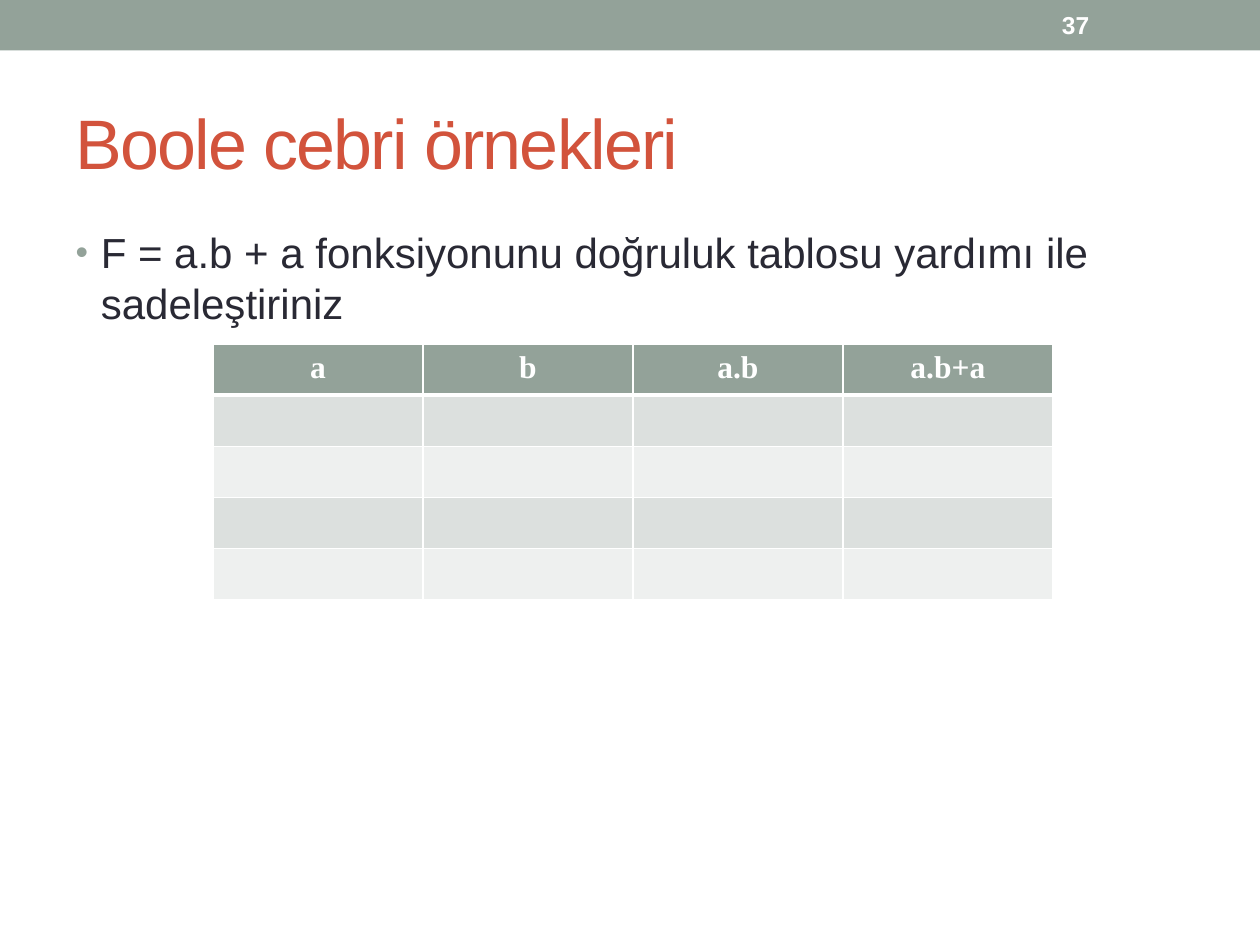
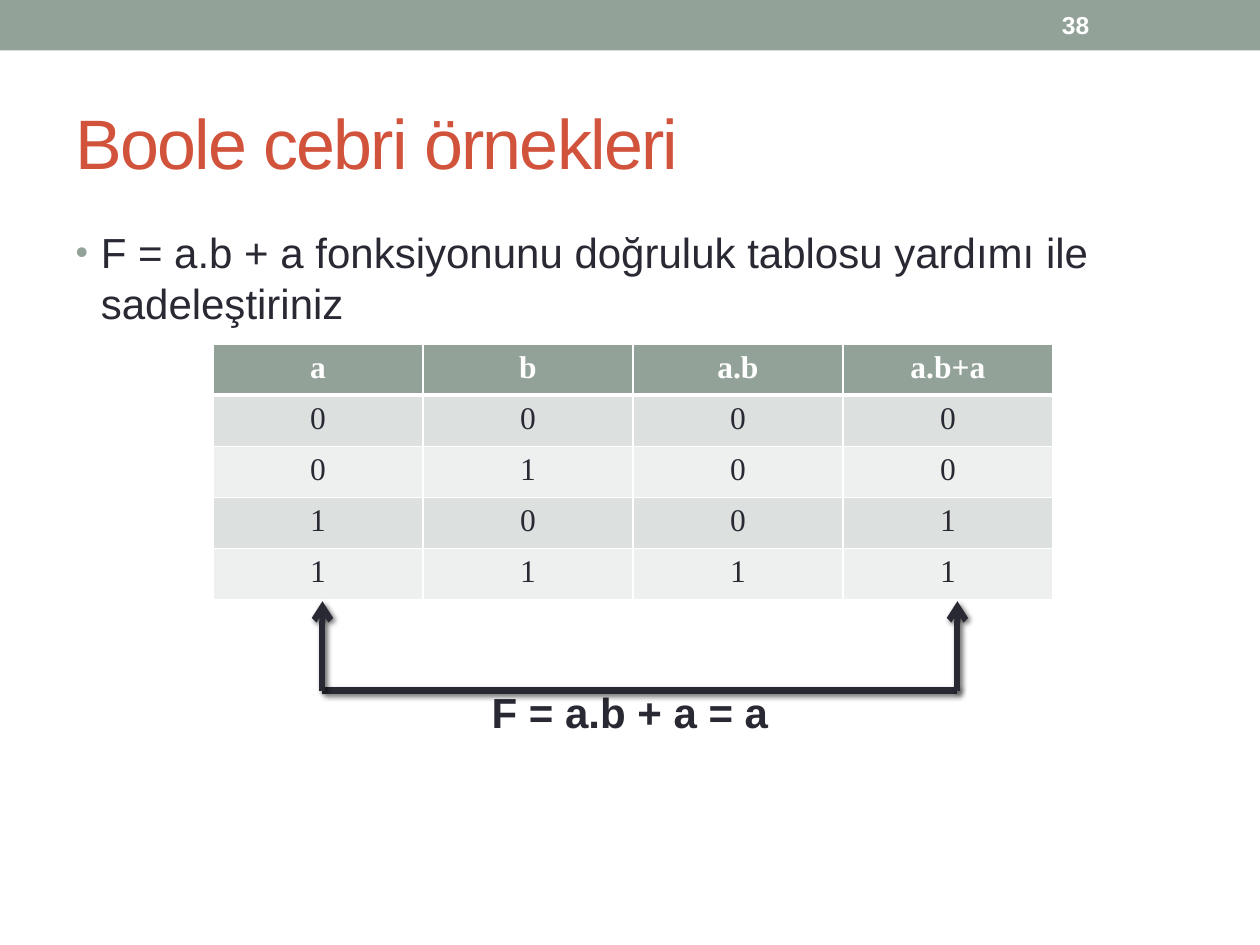
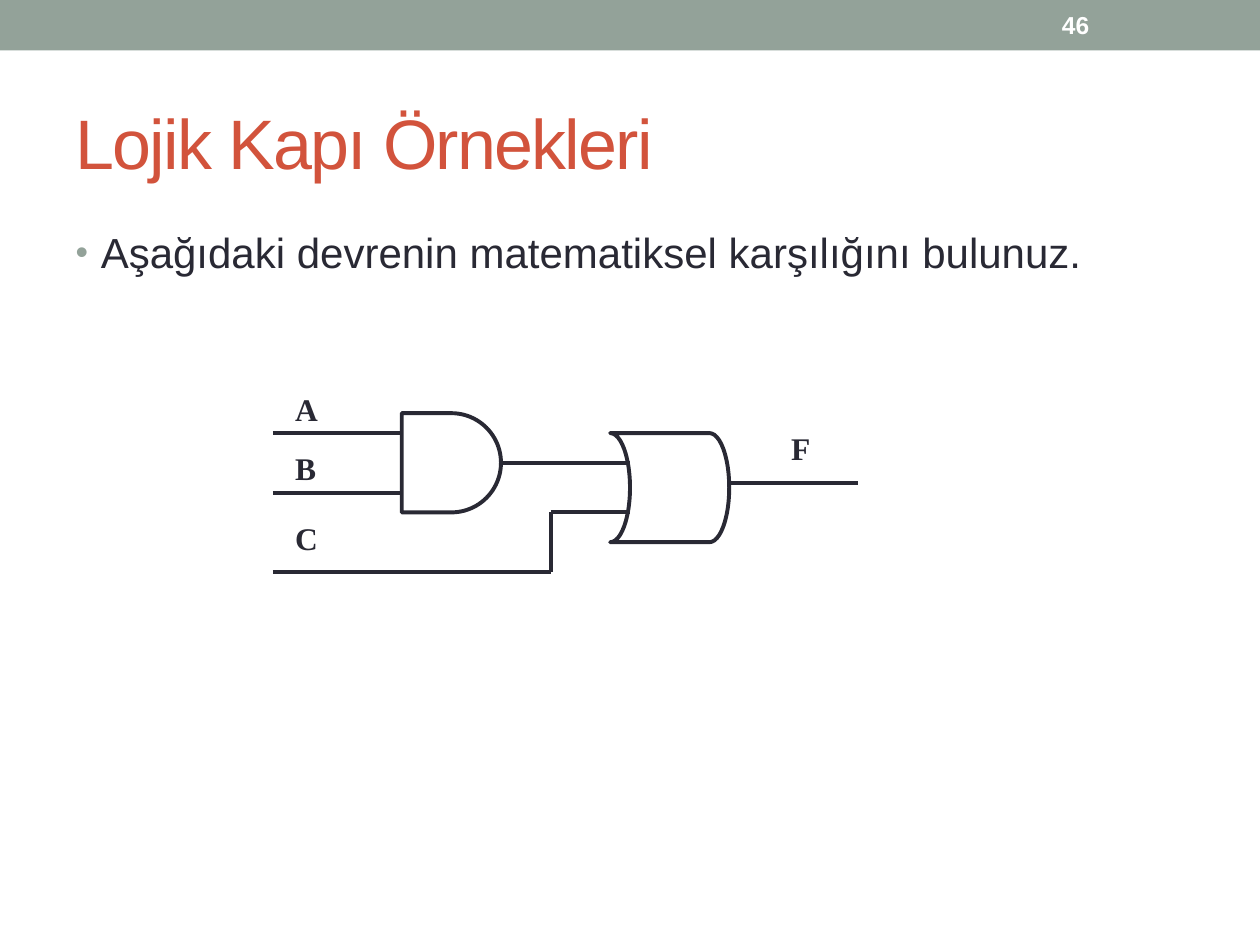
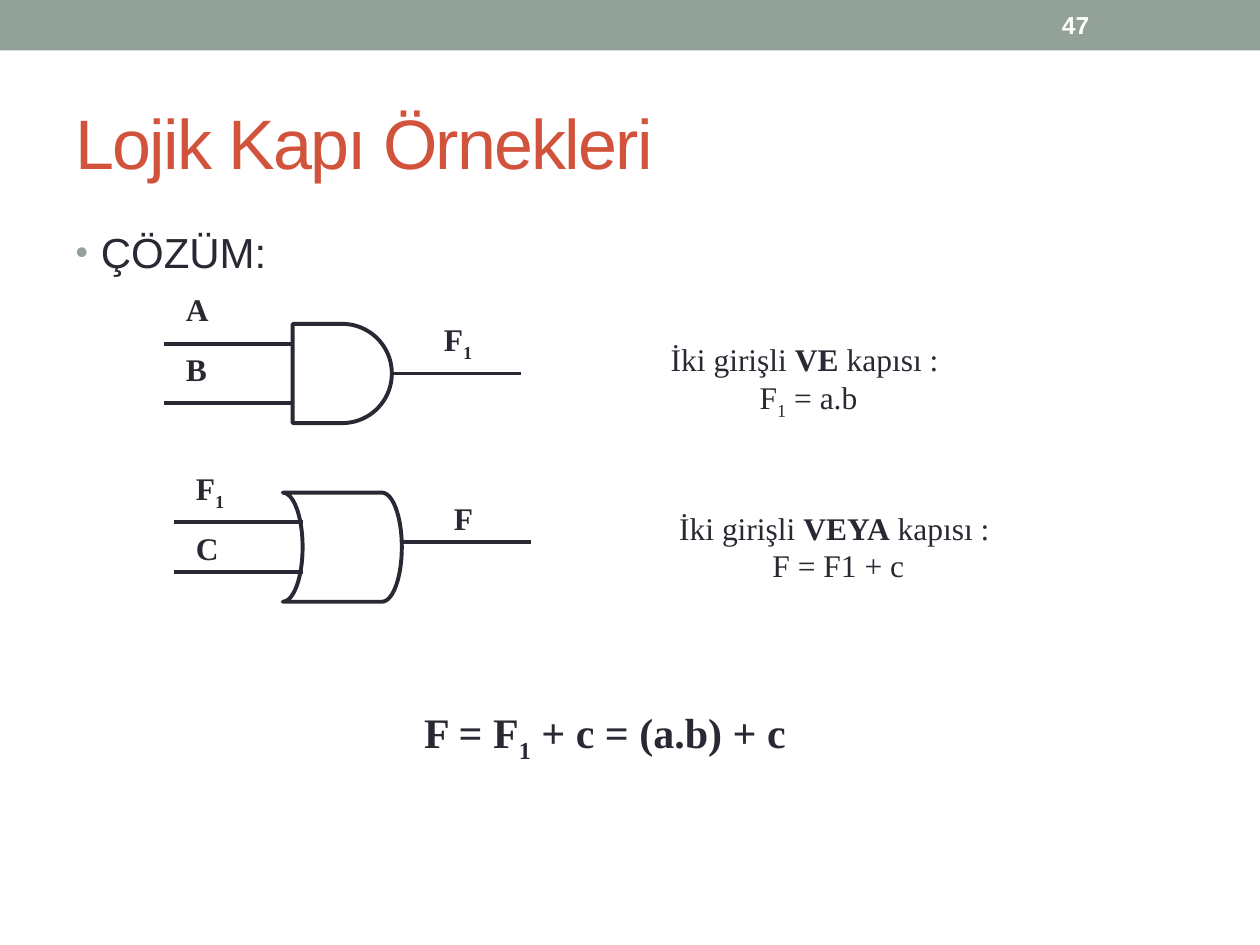
"""Build four slides on Boolean algebra and logic gates."""
from dataclasses import dataclass
from typing import NamedTuple, Optional

from lxml.etree import SubElement
from pptx import Presentation
from pptx.dml.color import RGBColor
from pptx.enum.shapes import MSO_CONNECTOR, MSO_SHAPE
from pptx.enum.text import MSO_ANCHOR, MSO_AUTO_SIZE, PP_ALIGN
from pptx.oxml import parse_xml
from pptx.oxml.ns import nsdecls, qn
from pptx.shapes.autoshape import Shape
from pptx.shapes.connector import Connector
from pptx.slide import Slide
from pptx.util import Inches, Pt

WIDE, TALL = Inches(10), Inches(7.5)
UNIT = WIDE / 127
SAGE, RUST, DARK, WHITE = "93A299", "D2533C", "292934", "FFFFFF"
BANDS = "DCE0DE", "EEF0EF"
SANS, SERIF = "Arial", "Times New Roman"
LEAD = 13


class Bit(NamedTuple):
    """A run of text with its emphasis."""
    text: str
    bold: bool = False
    sub: bool = False


class Style(NamedTuple):
    """The look of a run."""
    size: int
    face: str
    color: str = DARK


class Gate(NamedTuple):
    """A gate symbol, with the grid places of its pins."""
    form: MSO_SHAPE
    turn: int
    cols: int
    rows: int
    inset: int
    pins: tuple[int, int]
    out: int = 5


class Spot(NamedTuple):
    """A place on the grid."""
    col: float
    row: float

    def move(self, cols: float, rows: float) -> "Spot":
        """Return a place shifted from this one."""
        return Spot(self.col + cols, self.row + rows)


@dataclass
class Label:
    """A bold sign placed relative to a gate."""
    bits: list[Bit]
    cols: int
    rows: int
    width: float = 4.8


@dataclass
class Note:
    """A centred remark of several lines."""
    spot: Spot
    width: float
    lines: list[list[Bit]]


TITLE = Style(40, SANS, RUST)
BODY = Style(24, SANS)
PAGE = Style(14, SANS, WHITE)
HEAD = Style(18, SERIF, WHITE)
SIGN = Style(18, SERIF)
SUM = Style(24, SERIF)

AND = Gate(MSO_SHAPE.FLOWCHART_DELAY, 0, 10, 10, 0, (2, 8))
OR = Gate(MSO_SHAPE.FLOWCHART_STORED_DATA, 180, 12, 11, 2, (3, 8))

ALGEBRA, GATES = "Boole cebri örnekleri", "Lojik Kapı Örnekleri"
TASK = "F = a.b + a fonksiyonunu doğruluk tablosu yardımı ile sadeleştiriniz"
HEADS = ("a", "b", "a.b", "a.b+a")
TRUTH = ("0000", "0100", "1001", "1111")
BLANK = ("", "", "", "")
ONE = Bit("1", True, True)
FIRST = [Bit("F", True), ONE]
NOTES = [
    Note(Spot(65.5, 33.65), 32, [
        [Bit("İki girişli "), Bit("VE", True), Bit(" kapısı : ")],
        [Bit("F"), Bit("1", False, True), Bit(" = a.b")]]),
    Note(Spot(66.5, 50.65), 36, [
        [Bit("İki girişli "), Bit("VEYA", True), Bit(" kapısı : ")],
        [Bit("F = F1 + c")]]),
]


def grid(count: float) -> int:
    """Turn grid steps into a length."""
    return round(count * UNIT)


def hue(code: str) -> RGBColor:
    """Turn a hex string into a colour."""
    return RGBColor.from_string(code)


def write(para, bits: list[Bit], style: Style, gap: float = 0) -> None:
    """Add runs to a paragraph, with letter spacing in points."""
    for bit in bits:
        run = para.add_run()
        run.text = bit.text
        font = run.font
        font.size, font.name, font.bold = Pt(style.size), style.face, bit.bold
        font.color.rgb = hue(style.color)
        props = run._r.get_or_add_rPr()
        if bit.sub:
            props.set("baseline", "-25000")
        if gap:
            props.set("spc", str(round(gap * 100)))


def box(slide: Slide, spot: Spot, cols: float, rows: float,
        lines: list[list[Bit]], style: Style, wrap: bool = True,
        align: PP_ALIGN = PP_ALIGN.LEFT) -> Shape:
    """Add a text box that fits its lines."""
    shape = slide.shapes.add_textbox(
        grid(spot.col), grid(spot.row), grid(cols), grid(rows))
    frame = shape.text_frame
    frame.word_wrap = wrap
    frame.auto_size = MSO_AUTO_SIZE.SHAPE_TO_FIT_TEXT
    for pos, bits in enumerate(lines):
        para = frame.add_paragraph() if pos else frame.paragraphs[0]
        para.alignment = align
        write(para, bits, style)
    return shape


def hang(para, mark: bool) -> None:
    """Set a hanging indent, with or without a bullet."""
    props = para._p.get_or_add_pPr()
    props.set("marL", str(Inches(0.2)))
    props.set("indent", str(-Inches(0.2)))
    if not mark:
        SubElement(props, qn("a:buNone"))
        return
    tone = SubElement(props, qn("a:buClr"))
    SubElement(tone, qn("a:srgbClr"), val=SAGE)
    SubElement(props, qn("a:buSzPct"), val="85000")
    SubElement(props, qn("a:buFont"), typeface=SANS)
    SubElement(props, qn("a:buChar"), char="•")


def wire(slide: Slide, start: Spot, end: Spot, width: float = 2.25) -> Connector:
    """Draw a plain dark line between two places."""
    line = slide.shapes.add_connector(
        MSO_CONNECTOR.STRAIGHT, grid(start.col), grid(start.row),
        grid(end.col), grid(end.row))
    line.line.color.rgb = hue(DARK)
    line.line.width = Pt(width)
    SubElement(line.element.spPr, qn("a:effectLst"))
    return line


def lift(line: Connector, head: bool) -> None:
    """Give a line a soft shadow and, if asked, an arrowhead."""
    if head:
        SubElement(line.line._get_or_add_ln(), qn("a:tailEnd"), type="arrow")
    glow = line.element.spPr.find(qn("a:effectLst"))
    glow.append(parse_xml(
        f'<a:outerShdw {nsdecls("a")} blurRad="{Pt(3)}" dist="{Pt(2)}" '
        'dir="2700000" algn="tl" rotWithShape="0"><a:srgbClr val="000000">'
        '<a:alpha val="60000"/></a:srgbClr></a:outerShdw>'))


def draw(slide: Slide, gate: Gate, spot: Spot, leads: bool = True) -> None:
    """Draw a gate with its output and, if asked, its input leads."""
    shape = slide.shapes.add_shape(
        gate.form, grid(spot.col), grid(spot.row),
        grid(gate.cols), grid(gate.rows))
    shape.rotation = gate.turn
    shape.shadow.inherit = False
    shape.fill.background()
    shape.line.color.rgb = hue(DARK)
    shape.line.width = Pt(2.25)
    for pin in gate.pins if leads else ():
        wire(slide, spot.move(gate.inset - LEAD, pin), spot.move(gate.inset, pin))
    out = spot.move(gate.cols, gate.out)
    line = wire(slide, out, out.move(LEAD, 0))
    if gate.out * 2 == gate.rows:
        line.begin_connect(shape, 3)


def tag(slide: Slide, spot: Spot, labels: list[Label]) -> None:
    """Place signs around a gate."""
    for label in labels:
        box(slide, spot.move(label.cols, label.rows), label.width, 5.1,
            [label.bits], SIGN, wrap=False)


def edge(cell, base: float) -> None:
    """Draw white borders, the lower one with its own width."""
    props = cell._tc.get_or_add_tcPr()
    sides = zip(("lnL", "lnR", "lnT", "lnB"), (1, 1, 1, base))
    for pos, (side, width) in enumerate(sides):
        props.insert(pos, parse_xml(
            f'<a:{side} {nsdecls("a")} w="{Pt(width)}"><a:solidFill>'
            f'<a:srgbClr val="{WHITE}"/></a:solidFill></a:{side}>'))


def table(slide: Slide, rows: tuple) -> None:
    """Add the truth table under its heading row."""
    full = (HEADS, *rows)
    host = slide.shapes.add_table(
        len(full), len(HEADS), Inches(1.69), Inches(2.73),
        WIDE * 2 // 3, Inches(2.03))
    host.table.horz_banding = False
    for top, row in enumerate(full):
        for left, text in enumerate(row):
            cell = host.table.cell(top, left)
            cell.fill.solid()
            cell.fill.fore_color.rgb = hue(BANDS[(top - 1) % 2] if top else SAGE)
            edge(cell, 1 if top else 3)
            para = cell.text_frame.paragraphs[0]
            para.alignment = PP_ALIGN.CENTER
            if text:
                write(para, [Bit(text, not top)], SIGN if top else HEAD)


def setup(deck) -> None:
    """Place the shared placeholders and the band on the master."""
    layout = deck.slide_layouts[1]
    for pos, (top, high) in enumerate(((0.58, 1.08), (1.75, 5.33))):
        hold = layout.placeholders[pos]
        hold.left, hold.top = Inches(0.5), Inches(top)
        hold.width, hold.height = Inches(9), Inches(high)


def band(deck, slide: Slide) -> None:
    """Draw the top band and move it to the master."""
    shape = slide.shapes.add_shape(MSO_SHAPE.RECTANGLE, 0, 0, WIDE, Inches(0.4))
    shape.shadow.inherit = False
    shape.fill.solid()
    shape.fill.fore_color.rgb = hue(SAGE)
    shape.line.fill.background()
    shape.element.xpath(".//p:cNvPr")[0].set("id", "20")
    deck.slide_master.shapes.element.insert(2, shape.element)


def page(deck, number: int, title: str, text: str,
         result: Optional[str] = None) -> Slide:
    """Add a slide with title, list and page number."""
    slide = deck.slides.add_slide(deck.slide_layouts[1])
    head = slide.shapes.title.text_frame
    head.vertical_anchor = MSO_ANCHOR.MIDDLE
    head.paragraphs[0].alignment = PP_ALIGN.LEFT
    write(head.paragraphs[0], [Bit(title)], TITLE, -1)
    body = slide.placeholders[1].text_frame
    for frame in (head, body):
        frame.auto_size = MSO_AUTO_SIZE.NONE
        frame.word_wrap = True
    para = body.paragraphs[0]
    hang(para, True)
    para.space_before = Pt(0)
    write(para, [Bit(text)], BODY)
    if result:
        para = body.add_paragraph()
        hang(para, False)
        para.alignment = PP_ALIGN.CENTER
        para.space_before = Pt(205)
        write(para, [Bit(result, True)], BODY)
    mark = slide.shapes.add_textbox(
        Inches(8.33), Inches(0.02), Inches(1.17), Inches(0.36)).text_frame
    mark.word_wrap = True
    mark.vertical_anchor = MSO_ANCHOR.MIDDLE
    write(mark.paragraphs[0], [Bit(str(number), True)], PAGE)
    return slide


def proof(slide: Slide) -> None:
    """Link the equal columns of the table with arrows."""
    left, right = Spot(32.5, 69.6), Spot(96.5, 69.6)
    lift(wire(slide, left, right, 3.5), False)
    for foot in (right, left):
        lift(wire(slide, foot, foot.move(0, -9), 3.5), True)


def chain(slide: Slide) -> None:
    """Draw the circuit of both gates."""
    spot = Spot(40.5, 41.65)
    draw(slide, AND, spot)
    draw(slide, OR, spot.move(21, 2), False)
    bends = [spot.move(*step) for step in ((-13, 16), (15, 16), (15, 10), (23, 10))]
    for start, end in zip(bends, bends[1:]):
        wire(slide, start, end)
    tag(slide, spot, [
        Label([Bit("A", True)], -12, -3), Label([Bit("B", True)], -12, 3),
        Label([Bit("C", True)], -12, 10), Label([Bit("F", True)], 38, 1)])


def solve(slide: Slide) -> None:
    """Draw each gate with its remark and the final sum."""
    upper, lower = Spot(29.5, 32.65), Spot(28.5, 49.65)
    draw(slide, AND, upper)
    tag(slide, upper, [
        Label([Bit("A", True)], -12, -4), Label([Bit("B", True)], -12, 2),
        Label(FIRST, 14, -1, 5.6)])
    draw(slide, OR, lower)
    tag(slide, lower, [
        Label(FIRST, -10, -3, 5.6), Label([Bit("C", True)], -10, 3),
        Label([Bit("F", True)], 16, 0)])
    for note in NOTES:
        box(slide, note.spot, note.width, 9, note.lines, SIGN,
            align=PP_ALIGN.CENTER)
    box(slide, Spot(41.5, 70.6), 41, 6.4,
        [[Bit("F = F", True), ONE, Bit(" + c = (a.b) + c", True)]], SUM)


def main() -> None:
    """Build and save the deck."""
    deck = Presentation()
    deck.slide_width, deck.slide_height = WIDE, TALL
    setup(deck)
    first = page(deck, 37, ALGEBRA, TASK)
    band(deck, first)
    table(first, (BLANK,) * len(TRUTH))
    second = page(deck, 38, ALGEBRA, TASK, "F = a.b + a = a")
    table(second, TRUTH)
    proof(second)
    chain(page(deck, 46, GATES, "Aşağıdaki devrenin matematiksel karşılığını bulunuz."))
    solve(page(deck, 47, GATES, "ÇÖZÜM:"))
    deck.save("out.pptx")


if __name__ == "__main__":
    main()
